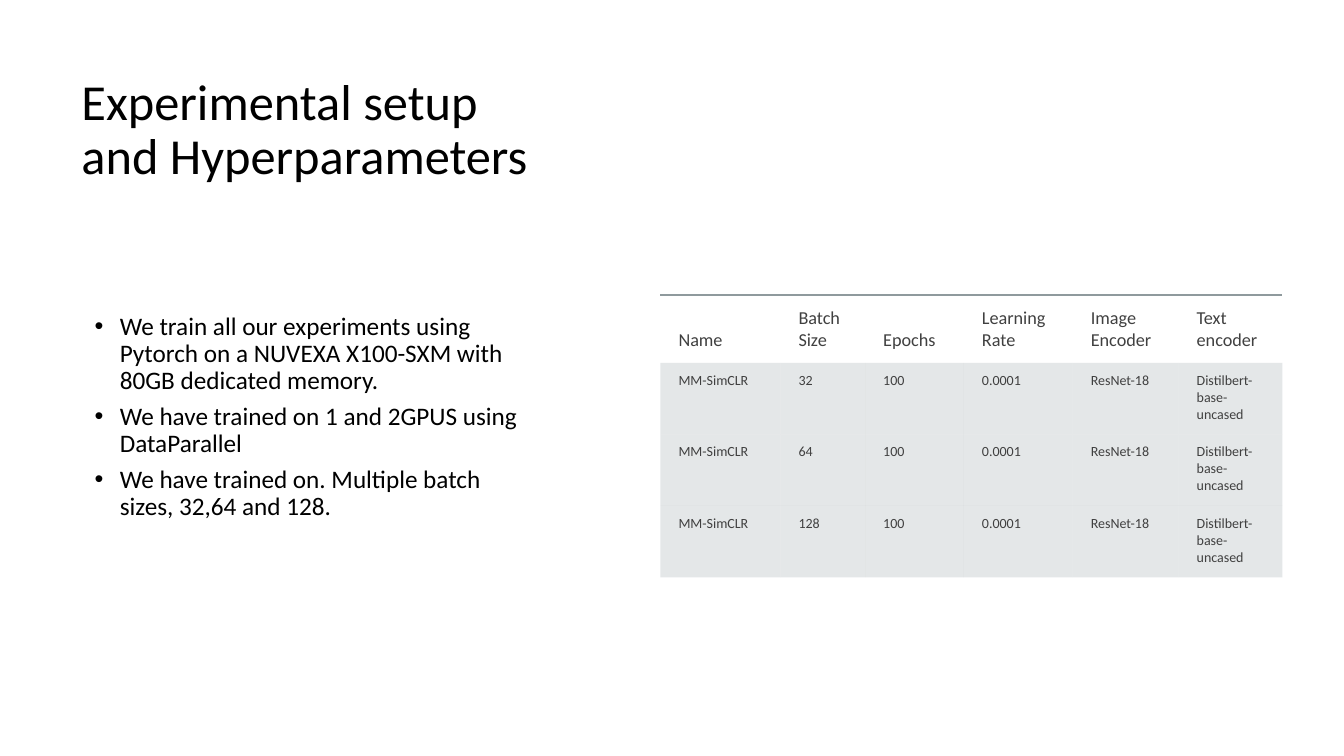
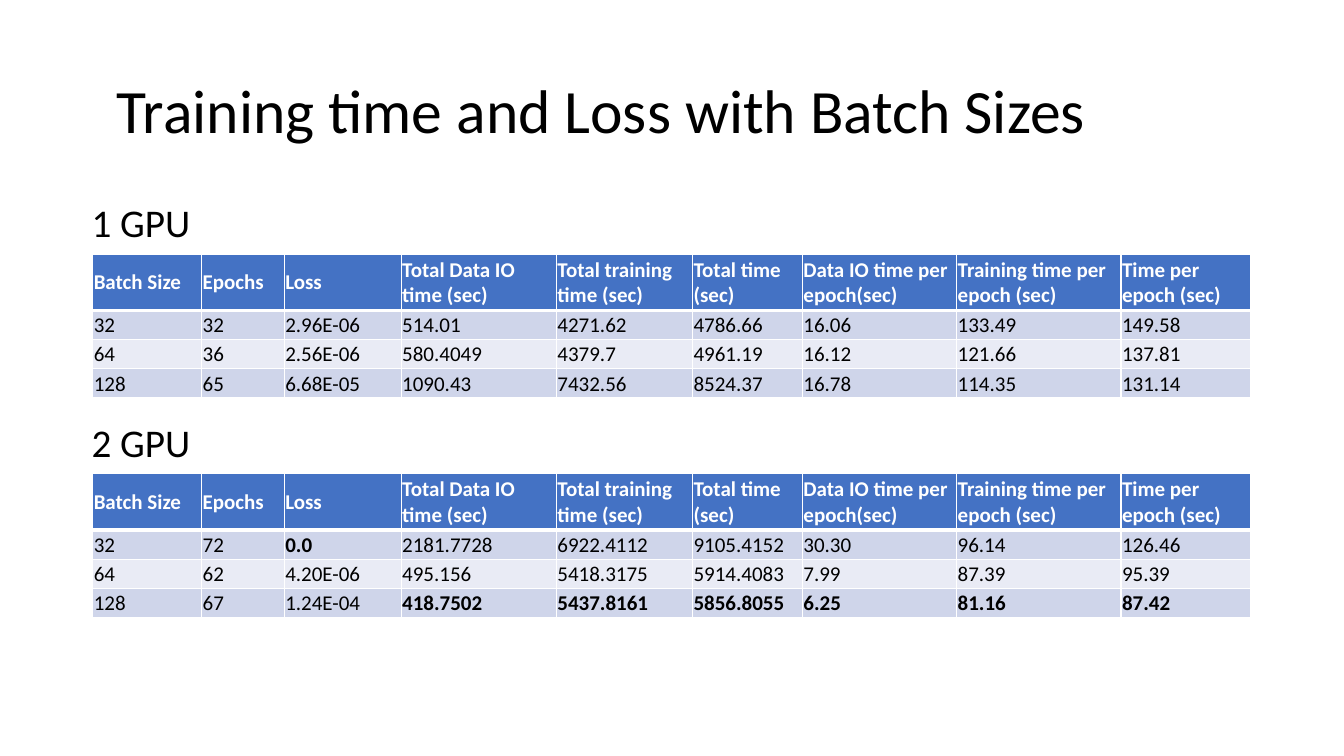
from lxml.etree import SubElement
from pptx import Presentation
from pptx.dml.color import RGBColor
from pptx.enum.text import MSO_ANCHOR as Anchor
from pptx.oxml.ns import qn
from pptx.util import Inches, Pt

FONT = "Calibri"
COLORS = {
    "text": "000000",
    "setup_text": "404040",
    "setup_rule": "8F9A9D",
    "setup_body": "B4BCBE",
    "header": "4472C4",
    "band_dark": "CFD5EA",
    "band_light": "E9EBF5",
    "white": "FFFFFF",
}
NO_STYLE_NO_GRID = "{2D5ABB26-0587-4C30-8999-92F81FD0307C}"

BULLETS = [
    "We train all our experiments using Pytorch on a NUVEXA X100-SXM with 80GB dedicated memory.",
    "We have trained on 1 and 2GPUS using DataParallel",
    "We have trained on. Multiple batch sizes, 32,64 and 128.",
]
SETUP_COLUMNS = [1.19, 0.84, 0.98, 1.08, 1.05, 1.03]
SETUP_ROWS = [["Name", "Batch Size", "Epochs", "Learning Rate", "Image Encoder", "Text encoder"]] + [
    ["MM-SimCLR", size, "100", "0.0001", "ResNet-18", "Distilbert-base-uncased"]
    for size in ("32", "64", "128")
]

TIMING_COLUMNS = [1.08, 0.82, 1.16, 1.54, 1.35, 1.09, 1.53, 1.63, 1.28]
TIMING_HEADER = [
    "Batch Size", "Epochs", "Loss", "Total Data IO time (sec)", "Total training time (sec)",
    "Total time (sec)", "Data IO time per epoch(sec)", "Training time per epoch (sec)",
    "Time per epoch (sec)",
]
ONE_GPU = [
    ["32", "32", "2.96E-06", "514.01", "4271.62", "4786.66", "16.06", "133.49", "149.58"],
    ["64", "36", "2.56E-06", "580.4049", "4379.7", "4961.19", "16.12", "121.66", "137.81"],
    ["128", "65", "6.68E-05", "1090.43", "7432.56", "8524.37", "16.78", "114.35", "131.14"],
]
TWO_GPU = [
    ["32", "72", "0.0", "2181.7728", "6922.4112", "9105.4152", "30.30", "96.14", "126.46"],
    ["64", "62", "4.20E-06", "495.156", "5418.3175", "5914.4083", "7.99", "87.39", "95.39"],
    ["128", "67", "1.24E-04", "418.7502", "5437.8161", "5856.8055", "6.25", "81.16", "87.42"],
]
TWO_GPU_BEST = {(1, 2)} | {(3, column) for column in range(3, 9)}


def format_runs(paragraph, size, color, bold=False):
    for run in paragraph.runs:
        run.font.name = FONT
        run.font.size = Pt(size)
        run.font.bold = bold
        run.font.color.rgb = RGBColor.from_string(COLORS[color])


def add_text(slide, box, text, size, anchor=Anchor.MIDDLE):
    text_frame = slide.shapes.add_textbox(*map(Inches, box)).text_frame
    text_frame.word_wrap = True
    text_frame.vertical_anchor = anchor
    text_frame.text = text
    for paragraph in text_frame.paragraphs:
        paragraph.line_spacing = 0.9
        format_runs(paragraph, size, "text")
    return text_frame


def add_bullets(slide, box, items):
    for paragraph in add_text(slide, box, "\n".join(items), 18).paragraphs:
        paragraph.space_after = Pt(6)
        properties = paragraph._p.get_or_add_pPr()
        properties.set("marL", str(Inches(0.38)))
        properties.set("indent", str(Inches(-0.25)))
        SubElement(properties, qn("a:buFont")).set("typeface", "Arial")
        SubElement(properties, qn("a:buChar")).set("char", "•")


def set_alpha(color, percent):
    SubElement(color, qn("a:alpha")).set("val", str(percent * 1000))


def set_border(cell, side, color, width, alpha=100):
    line = SubElement(cell._tc.get_or_add_tcPr(), qn(f"a:ln{side}"))
    line.set("w", str(Pt(width)))
    solid = SubElement(line, qn("a:solidFill"))
    value = SubElement(solid, qn("a:srgbClr"))
    value.set("val", COLORS[color])
    if alpha < 100:
        set_alpha(value, alpha)


def set_fill(cell, color, alpha=100):
    cell.fill.solid()
    cell.fill.fore_color.rgb = RGBColor.from_string(COLORS[color])
    if alpha < 100:
        solid = cell._tc.tcPr.find(qn("a:solidFill"))
        set_alpha(solid.find(qn("a:srgbClr")), alpha)


def set_cell_text(cell, text, size, color, margins, anchor, bold=False):
    cell.text_frame.text = text
    cell.vertical_anchor = anchor
    cell.margin_left, cell.margin_top, cell.margin_right, cell.margin_bottom = map(Inches, margins)
    format_runs(cell.text_frame.paragraphs[0], size, color, bold)


def add_grid(slide, left, top, widths, heights):
    box = map(Inches, (left, top, sum(widths), sum(heights)))
    table = slide.shapes.add_table(len(heights), len(widths), *box).table
    table._tbl.tblPr.find(qn("a:tableStyleId")).text = NO_STYLE_NO_GRID
    table.horz_banding = False
    for column, width in zip(table.columns, widths):
        column.width = Inches(width)
    for row, height in zip(table.rows, heights):
        row.height = Inches(height)
    return table


def add_setup_table(slide, left, top):
    table = add_grid(slide, left, top, SETUP_COLUMNS, [0.67] + [0.71] * 3)
    for row, texts in enumerate(SETUP_ROWS):
        for column, text in enumerate(texts):
            cell = table.cell(row, column)
            if row == 0:
                set_cell_text(cell, text, 13, "setup_text", (0.18, 0.11, 0.11, 0.11), Anchor.BOTTOM)
                set_border(cell, "T", "setup_rule", 1.5, 60)
                cell.fill.background()
            else:
                set_cell_text(cell, text, 10, "setup_text", (0.18, 0.09, 0.09, 0.09), Anchor.TOP)
                set_fill(cell, "setup_body", 35)


def add_timing_block(slide, left, top, label, rows, best=frozenset()):
    add_text(slide, (left - 0.11, top - 1.01, 11.5, 1.45), label, 28)
    table = add_grid(slide, left, top, TIMING_COLUMNS, [0.56] + [0.29] * 3)
    for row, texts in enumerate([TIMING_HEADER] + rows):
        is_header = row == 0
        fill = "header" if is_header else ("band_light", "band_dark")[row % 2]
        for column, text in enumerate(texts):
            cell = table.cell(row, column)
            set_cell_text(cell, text, 15, "white" if is_header else "text",
                          (0.01, 0.01, 0.01, 0), Anchor.MIDDLE,
                          is_header or (row, column) in best)
            for side in "LRTB":
                heavy = (is_header and side == "B") or (row == 1 and side == "T")
                set_border(cell, side, "white", 3 if heavy else 1)
            set_fill(cell, fill)


def build_setup_slide(slide):
    left, width = 0.71, 4.68
    add_text(slide, (left, 0.58, width, 1.31), "Experimental setup and Hyperparameters", 36, Anchor.BOTTOM)
    add_setup_table(slide, 6.55, 2.93)
    add_bullets(slide, (left, 2.22, width, 3.84), BULLETS)


def build_timing_slide(slide):
    add_text(slide, (1.06, 0.4, 11.36, 1.45), "Training time and Loss with Batch Sizes", 44)
    add_timing_block(slide, 0.92, 2.52, "1 GPU", ONE_GPU)
    add_timing_block(slide, 0.92, 4.7, "2 GPU", TWO_GPU, TWO_GPU_BEST)


def main():
    presentation = Presentation()
    presentation.slide_width = Inches(13.33)
    presentation.slide_height = Inches(7.5)
    for build in (build_setup_slide, build_timing_slide):
        build(presentation.slides.add_slide(presentation.slide_layouts[6]))
    presentation.save("out.pptx")


if __name__ == "__main__":
    main()
